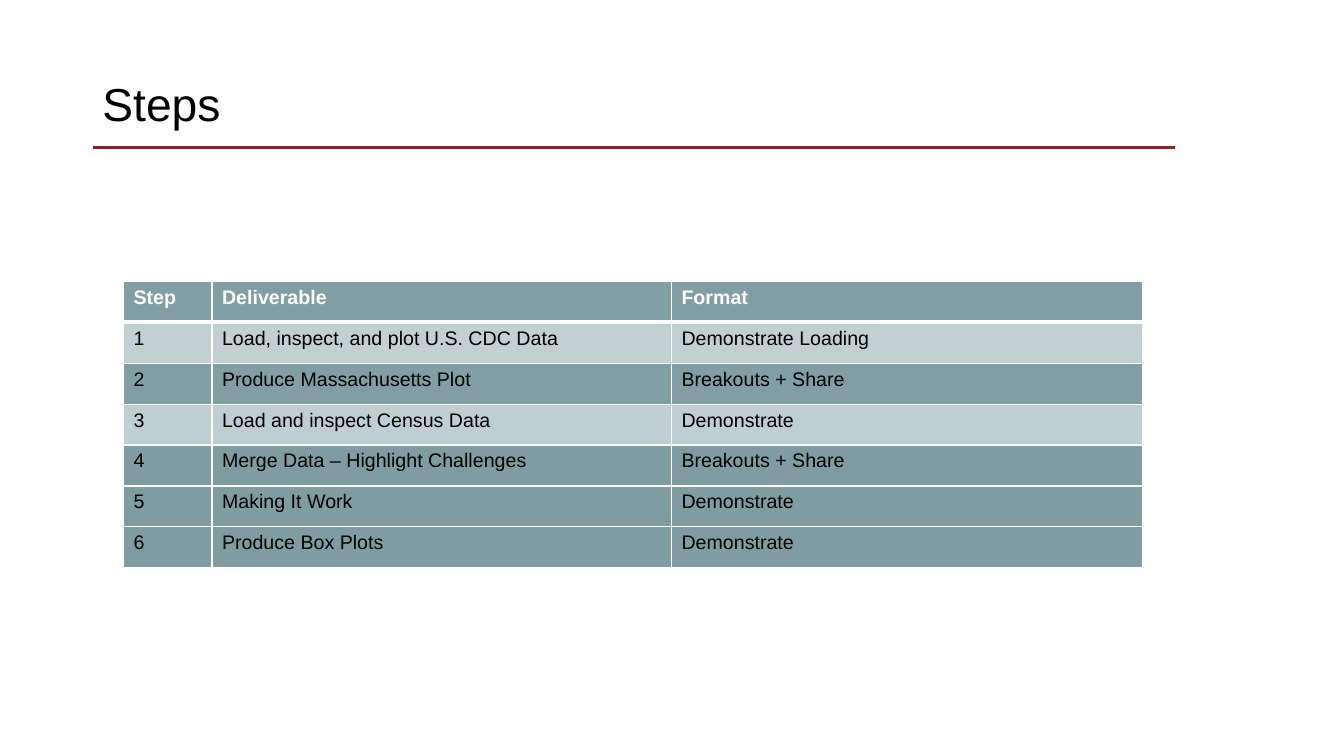
from dataclasses import dataclass

from lxml.etree import SubElement
from pptx import Presentation
from pptx.dml.color import RGBColor as RGB
from pptx.enum.shapes import MSO_CONNECTOR as Connector
from pptx.enum.text import MSO_ANCHOR as Anchor, MSO_AUTO_SIZE as AutoSize
from pptx.oxml.ns import qn
from pptx.slide import Slide
from pptx.table import _Cell as Cell
from pptx.text.text import _Paragraph as Paragraph
from pptx.util import Pt

FONT = "Arial"
COLORS = {"text": "000000", "white": "FFFFFF", "rule": "971B29", "teal": "2E6064"}
COLUMN_WIDTHS = (63.2, 328.2, 336.4)
ROW_HEIGHT = 29.25


@dataclass(frozen=True)
class StepRow:
    step: str
    deliverable: str
    format: str
    opacity: int
    header: bool = False


STEPS = (
    StepRow("Step", "Deliverable", "Format", 60, header=True),
    StepRow("1", "Load, inspect, and plot U.S. CDC Data", "Demonstrate Loading", 29),
    StepRow("2", "Produce Massachusetts Plot", "Breakouts + Share", 60),
    StepRow("3", "Load and inspect Census Data", "Demonstrate", 30),
    StepRow("4", "Merge Data – Highlight Challenges", "Breakouts + Share", 61),
    StepRow("5", "Making It Work", "Demonstrate", 61),
    StepRow("6", "Produce Box Plots", "Demonstrate", 61),
)


def add_run(p: Paragraph, text: str, size: float, color: str, bold: bool = False) -> None:
    r = p.add_run()
    r.text = text
    r.font.name = FONT
    r.font.size = Pt(size)
    r.font.bold = bold
    r.font.color.rgb = RGB.from_string(COLORS[color])


def set_title(s: Slide, text: str) -> None:
    sp = s.shapes.title
    sp.left, sp.top, sp.width, sp.height = Pt(66), Pt(23.75), Pt(828), Pt(104.4)
    tf = sp.text_frame
    tf.word_wrap = True
    tf.auto_size = AutoSize.NONE
    tf.vertical_anchor = Anchor.MIDDLE
    p = tf.paragraphs[0]
    p.alignment = 1
    p.line_spacing = 0.9
    add_run(p, text, 33, "text")


def add_title_rule(s: Slide) -> None:
    y = Pt(105.2)
    rule = s.shapes.add_connector(Connector.STRAIGHT, Pt(66.5), y, Pt(839), y)
    rule.line.color.rgb = RGB.from_string(COLORS["rule"])
    rule.line.width = Pt(2)
    SubElement(rule._element.spPr, qn("a:effectLst"))


def set_borders(cell: Cell, top: float, bottom: float) -> None:
    """Draw white borders; call before filling, as borders precede the fill in XML."""
    tc_pr = cell._tc.get_or_add_tcPr()
    for side, width in (("L", 1), ("R", 1), ("T", top), ("B", bottom)):
        ln = SubElement(tc_pr, qn(f"a:ln{side}"), w=str(Pt(width)))
        fill = SubElement(ln, qn("a:solidFill"))
        SubElement(fill, qn("a:srgbClr"), val=COLORS["white"])


def fill_cell(cell: Cell, opacity: int) -> None:
    cell.fill.solid()
    cell.fill.fore_color.rgb = RGB.from_string(COLORS["teal"])
    color = cell._tc.tcPr.find(f"{qn('a:solidFill')}/{qn('a:srgbClr')}")
    SubElement(color, qn("a:alpha"), val=str(opacity * 1000))


def add_steps_table(s: Slide) -> None:
    table = s.shapes.add_table(
        len(STEPS), len(COLUMN_WIDTHS), Pt(88.2), Pt(201),
        Pt(sum(COLUMN_WIDTHS)), Pt(ROW_HEIGHT * len(STEPS)),
    ).table
    for column, width in zip(table.columns, COLUMN_WIDTHS):
        column.width = Pt(width)
    for i, (row, step) in enumerate(zip(table.rows, STEPS)):
        row.height = Pt(ROW_HEIGHT)
        for cell, text in zip(row.cells, (step.step, step.deliverable, step.format)):
            set_borders(cell, top=3 if i == 1 else 1, bottom=3 if step.header else 1)
            fill_cell(cell, step.opacity)
            color = "white" if step.header else "text"
            add_run(cell.text_frame.paragraphs[0], text, 14, color, step.header)


def main() -> None:
    prs = Presentation()
    prs.slide_width, prs.slide_height = Pt(960), Pt(540)
    s = prs.slides.add_slide(prs.slide_layouts[5])
    add_title_rule(s)
    set_title(s, "Steps")
    add_steps_table(s)
    prs.save("out.pptx")


if __name__ == "__main__":
    main()
